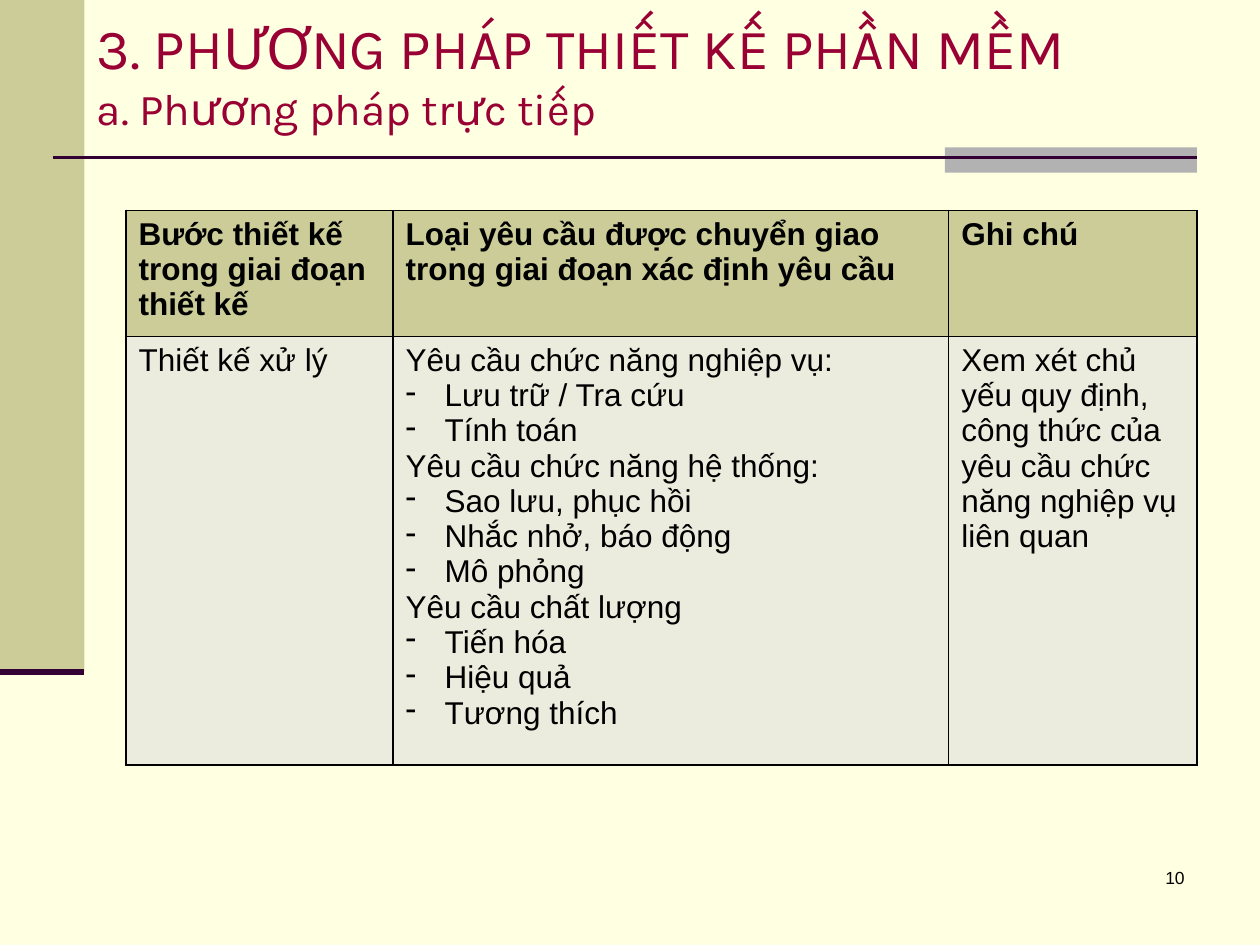
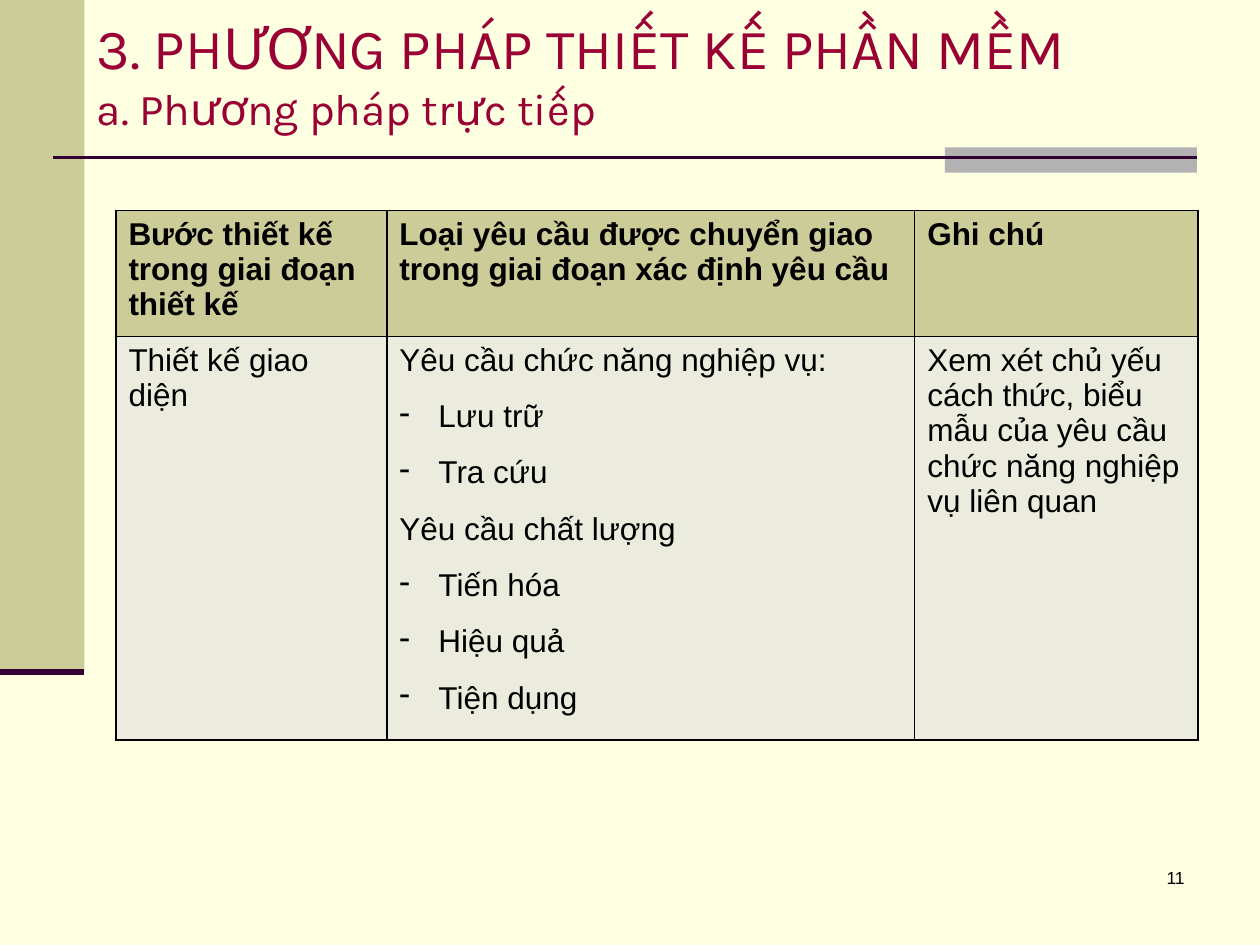
from dataclasses import dataclass

import pptx
import pptx.dml.color
import pptx.enum.shapes
import pptx.enum.text
import pptx.oxml
import pptx.oxml.ns
import pptx.oxml.xmlchemy
import pptx.presentation
import pptx.slide
import pptx.table
import pptx.text.text
import pptx.util
from lxml import etree

Inches = pptx.util.Inches


@dataclass(frozen=True)
class Theme:
    """Colours, fonts and type sizes of the deck."""
    background: str = "FFFFE1"
    olive: str = "CCCC99"
    grey: str = "B2B2B2"
    plum: str = "330033"
    crimson: str = "990033"
    body_fill: str = "ECECDE"
    ink: str = "000000"
    title_font: str = "Karla"
    body_font: str = "Arial"
    title_size: float = 32.4
    subtitle_size: float = 25.2
    table_size: float = 18
    number_size: float = 10


@dataclass(frozen=True)
class RequirementGroup:
    """A kind of requirement and its dashed entries."""
    heading: str
    entries: tuple[str, ...]


@dataclass(frozen=True)
class DesignStep:
    """One slide: a design step, its requirements and a remark."""
    number: int
    name: str
    groups: tuple[RequirementGroup, ...]
    remark: str
    table_left: float
    column_widths: tuple[float, ...]
    spacing: float = 0


THEME = Theme()
TITLE = "3. PHƯƠNG PHÁP THIẾT KẾ PHẦN MỀM"
SUBTITLE = "a. Phương pháp trực tiếp"
HEADERS = (
    "Bước thiết kế trong giai đoạn thiết kế",
    "Loại yêu cầu được chuyển giao trong giai đoạn xác định yêu cầu",
    "Ghi chú",
)
TABLE_TOP = 1.67
ROW_HEIGHTS = (0.83, 3.05)
DASH_INDENT = 0.31
BORDER_WIDTH = 1

STEPS = (
    DesignStep(
        number=10,
        name="Thiết kế xử lý",
        groups=(
            RequirementGroup("Yêu cầu chức năng nghiệp vụ:",
                             ("Lưu trữ / Tra cứu", "Tính toán")),
            RequirementGroup("Yêu cầu chức năng hệ thống:",
                             ("Sao lưu, phục hồi", "Nhắc nhở, báo động", "Mô phỏng")),
            RequirementGroup("Yêu cầu chất lượng",
                             ("Tiến hóa", "Hiệu quả", "Tương thích")),
        ),
        remark="Xem xét chủ yếu quy định, công thức của yêu cầu chức năng "
               "nghiệp vụ liên quan",
        table_left=1,
        column_widths=(2.12, 4.41, 1.97),
    ),
    DesignStep(
        number=11,
        name="Thiết kế giao diện",
        groups=(
            RequirementGroup("Yêu cầu chức năng nghiệp vụ:", ("Lưu trữ", "Tra cứu")),
            RequirementGroup("Yêu cầu chất lượng",
                             ("Tiến hóa", "Hiệu quả", "Tiện dụng")),
        ),
        remark="Xem xét chủ yếu cách thức, biểu mẫu của yêu cầu chức năng "
               "nghiệp vụ liên quan",
        table_left=0.92,
        column_widths=(2.15, 4.19, 2.25),
        spacing=6,
    ),
)


def rgb(colour: str) -> pptx.dml.color.RGBColor:
    """Turn a hex string into a colour."""
    return pptx.dml.color.RGBColor.from_string(colour)


def add_child(parent: etree.ElementBase, tag: str, **attributes: str) -> etree.ElementBase:
    """Append a DrawingML element to its parent."""
    child = etree.SubElement(parent, pptx.oxml.ns.qn(tag))
    for name, value in attributes.items():
        child.set(name, value)
    return child


def format_run(run: pptx.text.text._Run, font: str, size: float, colour: str,
               bold: bool = False) -> None:
    """Give a run its font, size, colour and weight."""
    run.font.name = font
    run.font.size = pptx.util.Pt(size)
    run.font.color.rgb = rgb(colour)
    run.font.bold = bold


def draw_band(slide: pptx.slide.Slide, left: float, top: float, width: float,
              height: float, colour: str) -> None:
    """Draw a plain filled rectangle."""
    band = slide.shapes.add_shape(
        pptx.enum.shapes.MSO_SHAPE.RECTANGLE,
        Inches(left), Inches(top), Inches(width), Inches(height))
    band.shadow.inherit = False
    band.fill.solid()
    band.fill.fore_color.rgb = rgb(colour)
    band.line.fill.background()


def draw_rule(slide: pptx.slide.Slide, left: float, right: float, top: float,
              weight: float) -> None:
    """Draw a horizontal plum rule."""
    rule = slide.shapes.add_connector(
        pptx.enum.shapes.MSO_CONNECTOR.STRAIGHT,
        Inches(left), Inches(top), Inches(right), Inches(top))
    rule.line.color.rgb = rgb(THEME.plum)
    rule.line.width = pptx.util.Pt(weight)
    add_child(rule._element.spPr, "a:effectLst")


def add_text_area(slide: pptx.slide.Slide, left: float, top: float, width: float,
                  height: float) -> pptx.text.text.TextFrame:
    """Add a wrapping text box and return its frame."""
    area = slide.shapes.add_textbox(
        Inches(left), Inches(top), Inches(width), Inches(height))
    area.text_frame.word_wrap = True
    return area.text_frame


def draw_frame(slide: pptx.slide.Slide, number: int) -> None:
    """Draw the background, bands, rules, title and slide number."""
    slide.background.fill.solid()
    slide.background.fill.fore_color.rgb = rgb(THEME.background)
    draw_band(slide, 0, 0, 0.67, 5.33, THEME.olive)
    draw_band(slide, 7.5, 1.17, 2, 0.2, THEME.grey)
    draw_rule(slide, 0.42, 9.5, 1.25, 1.5)
    draw_rule(slide, 0, 0.67, 5.33, 3.5)

    heading = add_text_area(slide, 0.67, 0, 8.83, 1.17)
    heading.vertical_anchor = pptx.enum.text.MSO_ANCHOR.MIDDLE
    heading.paragraphs[0].text = f"{TITLE}\v{SUBTITLE}"
    sizes = (THEME.title_size, THEME.subtitle_size)
    for run, size in zip(heading.paragraphs[0].runs, sizes):
        format_run(run, THEME.title_font, size, THEME.crimson)

    footer = add_text_area(slide, 7.42, 6.83, 2.08, 0.5)
    footer.text = str(number)
    footer.paragraphs[0].alignment = pptx.enum.text.PP_ALIGN.RIGHT
    format_run(footer.paragraphs[0].runs[0], THEME.body_font, THEME.number_size, THEME.ink)


def style_cell(cell: pptx.table._Cell, fill: str, bold: bool) -> None:
    """Set a cell's borders, fill and type."""
    properties = cell._tc.get_or_add_tcPr()
    for side in ("a:lnL", "a:lnR", "a:lnT", "a:lnB"):
        border = add_child(properties, side, w=str(pptx.util.Pt(BORDER_WIDTH)))
        add_child(add_child(border, "a:solidFill"), "a:srgbClr", val=THEME.ink)
    cell.fill.solid()
    cell.fill.fore_color.rgb = rgb(fill)
    for paragraph in cell.text_frame.paragraphs:
        for run in paragraph.runs:
            format_run(run, THEME.body_font, THEME.table_size, THEME.ink, bold)


def add_dash(paragraph: pptx.text.text._Paragraph) -> None:
    """Give a paragraph a hanging dash bullet."""
    properties = paragraph._p.get_or_add_pPr()
    properties.set("marL", str(Inches(DASH_INDENT)))
    properties.set("indent", str(-Inches(DASH_INDENT)))
    add_child(properties, "a:buChar", char="-")


def write_requirements(cell: pptx.table._Cell, step: DesignStep) -> None:
    """Write each group's heading followed by its dashed entries."""
    lines = [(text, text != group.heading)
             for group in step.groups for text in (group.heading, *group.entries)]
    cell.text_frame.text = "\n".join(text for text, _ in lines)
    for paragraph, (_, dashed) in zip(cell.text_frame.paragraphs, lines):
        if step.spacing:
            paragraph.space_before = pptx.util.Pt(step.spacing)
            paragraph.space_after = pptx.util.Pt(step.spacing)
        if dashed:
            add_dash(paragraph)


def draw_step_table(slide: pptx.slide.Slide, step: DesignStep) -> None:
    """Draw the table that describes a design step."""
    table = slide.shapes.add_table(
        len(ROW_HEIGHTS), len(HEADERS), Inches(step.table_left), Inches(TABLE_TOP),
        Inches(sum(step.column_widths)), Inches(sum(ROW_HEIGHTS))).table
    table.first_row = False
    table.horz_banding = False
    for column, width in zip(table.columns, step.column_widths):
        column.width = Inches(width)
    for row, height in zip(table.rows, ROW_HEIGHTS):
        row.height = Inches(height)

    for index, header in enumerate(HEADERS):
        table.cell(0, index).text_frame.text = header
        style_cell(table.cell(0, index), THEME.olive, bold=True)
    table.cell(1, 0).text_frame.text = step.name
    write_requirements(table.cell(1, 1), step)
    table.cell(1, 2).text_frame.text = step.remark
    for index in range(len(HEADERS)):
        style_cell(table.cell(1, index), THEME.body_fill, bold=False)


def build_deck() -> pptx.presentation.Presentation:
    """Build one slide for each design step."""
    deck = pptx.Presentation()
    deck.slide_width = Inches(10)
    deck.slide_height = Inches(7.5)
    blank_layout = deck.slide_layouts[6]
    for step in STEPS:
        slide = deck.slides.add_slide(blank_layout)
        draw_frame(slide, step.number)
        draw_step_table(slide, step)
    return deck


build_deck().save("out.pptx")
